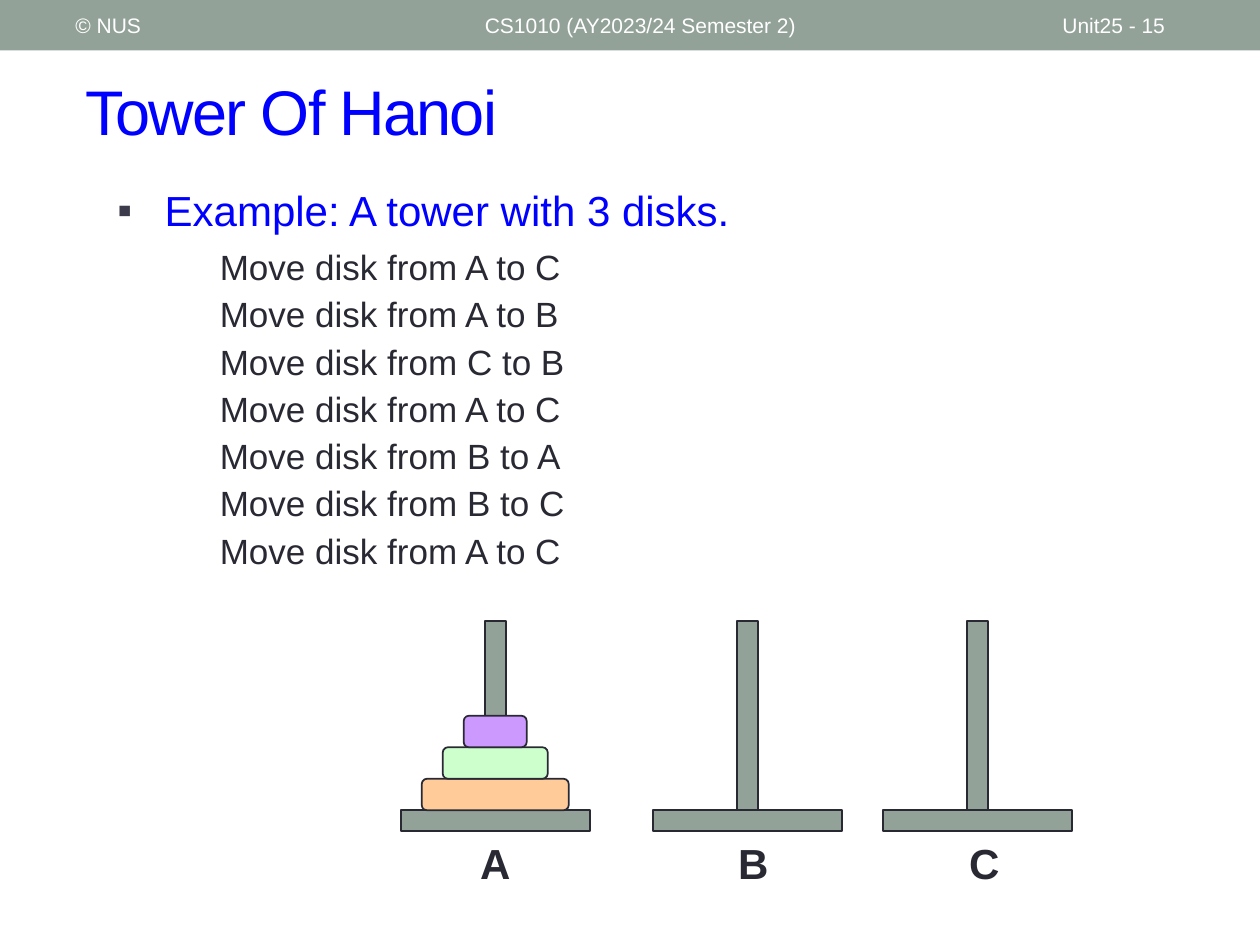
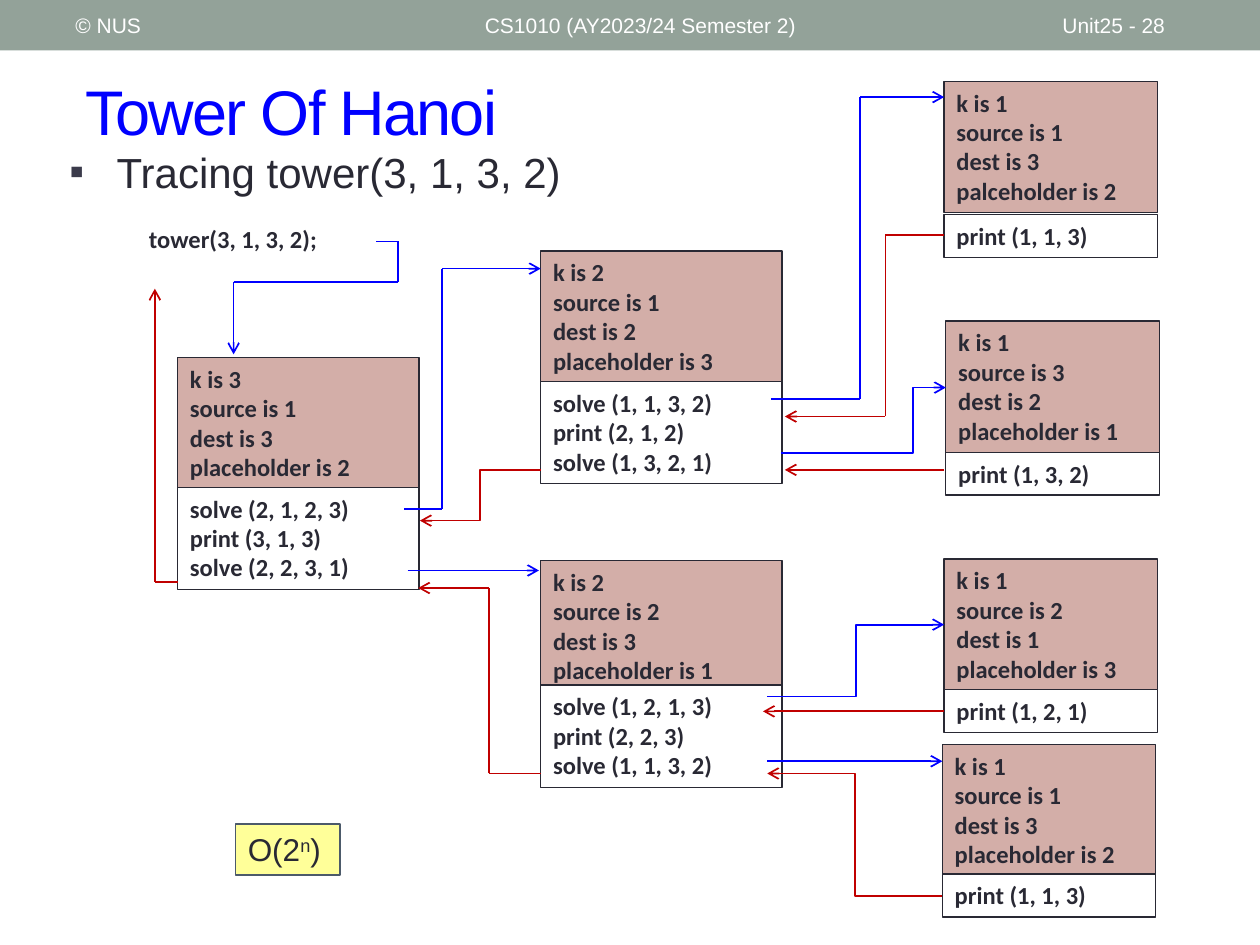
from dataclasses import dataclass

from lxml.etree import SubElement
from pptx import Presentation
from pptx.dml.color import RGBColor
from pptx.enum.shapes import MSO_CONNECTOR, MSO_SHAPE
from pptx.enum.text import MSO_ANCHOR, PP_ALIGN
from pptx.oxml.ns import qn
from pptx.util import Pt


@dataclass(frozen=True)
class Theme:
    sage: str = "93A299"
    ink: str = "292934"
    blue: str = "0000FF"
    red: str = "C00000"
    white: str = "FFFFFF"
    rose: str = "D3AEA8"
    yellow: str = "FFFF99"
    slate: str = "4C5A6A"
    bullet: str = "3B3B4B"
    disks: tuple = ("FFCC99", "CCFFCC", "CC99FF")
    font: str = "Arial"
    code_font: str = "Calibri"
    title_size: float = 36
    body_size: float = 24
    step_size: float = 20
    formula_size: float = 18
    code_size: float = 14
    header_size: float = 12


theme = Theme()


def add_box(slide, rect, lines=(), size=theme.body_size, colour=theme.ink,
            font=theme.font, bold=False, fill=None, line=None, line_width=1,
            kind=MSO_SHAPE.RECTANGLE, anchor=MSO_ANCHOR.TOP, align=PP_ALIGN.LEFT):
    """Add a filled shape, or a plain text box when no fill is given."""
    place = [Pt(value) for value in rect]
    if fill:
        box = slide.shapes.add_shape(kind, *place)
        box.shadow.inherit = False
        box.fill.solid()
        box.fill.fore_color.rgb = RGBColor.from_string(fill)
        if line:
            box.line.color.rgb = RGBColor.from_string(line)
            box.line.width = Pt(line_width)
        else:
            box.line.fill.background()
    else:
        box = slide.shapes.add_textbox(*place)
    frame = box.text_frame
    frame.word_wrap = True
    frame.vertical_anchor = anchor
    if lines:
        frame.text = "\n".join(lines)
    for paragraph in frame.paragraphs:
        paragraph.alignment = align
        for run in paragraph.runs:
            run.font.name = font
            run.font.size = Pt(size)
            run.font.bold = bold
            run.font.color.rgb = RGBColor.from_string(colour)
    return box


deck = Presentation()
deck.slide_width, deck.slide_height = Pt(720), Pt(540)

# Shared header band and title
slides = []
for page in (15, 28):
    slide = deck.slides.add_slide(deck.slide_layouts[6])
    add_box(slide, (0, 0, 720, 28.8), fill=theme.sage)
    for left, width, label in ((36, 228, "© NUS"),
                               (270, 324, "CS1010 (AY2023/24 Semester 2)"),
                               (600, 84, f"Unit25 - {page}")):
        add_box(slide, (left, 1.5, width, 26), [label], theme.header_size,
                theme.white, anchor=MSO_ANCHOR.MIDDLE)
    title = add_box(slide, (42, 30, 660, 66), ["Tower Of Hanoi"], theme.title_size,
                    theme.blue, anchor=MSO_ANCHOR.MIDDLE)
    title.text_frame.paragraphs[0].runs[0].font._element.set("spc", "-100")
    slides.append(slide)
example, tracing = slides

# Example: list of moves
moves = ("AC", "AB", "CB", "AC", "BA", "BC", "AC")
steps = [f"Move disk from {source} to {dest}" for source, dest in moves]
solution = add_box(example, (60, 102, 630, 396),
                   ["Example: A tower with 3 disks.", *steps], align=PP_ALIGN.JUSTIFY)
heading, *step_lines = solution.text_frame.paragraphs
heading.space_after = Pt(3)
heading.runs[0].font.color.rgb = RGBColor.from_string(theme.blue)
for step in step_lines:
    step.space_before = Pt(3)
    step._p.get_or_add_pPr().set("marL", str(Pt(58.5)))
    step.runs[0].font.size = Pt(theme.step_size)

# Tracing: heading, first call and complexity
trace = add_box(tracing, (32.5, 80, 378, 45), ["Tracing tower(3, 1, 3, 2)"])
add_box(tracing, (78, 124.5, 142, 24.5), ["tower(3, 1, 3, 2);"], theme.code_size,
        font=theme.code_font, bold=True)
complexity = add_box(tracing, (134.5, 471, 60, 29), ["O(2"], theme.formula_size,
                     fill=theme.yellow, line=theme.slate)
formula = complexity.text_frame.paragraphs[0]
for part, baseline in (("n", "30000"), (")", "0")):
    run = formula.add_run()
    run.text = part
    run.font.name = theme.font
    run.font.size = Pt(theme.formula_size)
    run.font.color.rgb = RGBColor.from_string(theme.ink)
    run.font._element.set("baseline", baseline)

# Square bullets of both slides
for bulleted in (heading, trace.text_frame.paragraphs[0]):
    properties = bulleted._p.get_or_add_pPr()
    properties.set("marL", str(Pt(27)))
    properties.set("indent", str(Pt(-27)))
    SubElement(SubElement(properties, qn("a:buClr")), qn("a:srgbClr")).set("val", theme.bullet)
    SubElement(properties, qn("a:buFont")).set("typeface", theme.font)
    SubElement(properties, qn("a:buChar")).set("char", "▪")

# Three pegs with their labels
for letter, base_left, label_left in (("A", 229, 265), ("B", 373, 412.5), ("C", 504.75, 544.5)):
    for rect in ((base_left, 463, 108, 12), (base_left + 48, 355, 12, 108)):
        add_box(example, rect, fill=theme.sage, line=theme.ink)
    add_box(example, (label_left, 475, 36, 36), [letter], bold=True, align=PP_ALIGN.CENTER)

# Disks on peg A, largest at the bottom
for level, colour in enumerate(theme.disks):
    width = 84 - 24 * level
    add_box(example, (283 - width / 2, 445 - 18 * level, width, 18),
            fill=colour, line=theme.ink, kind=MSO_SHAPE.ROUNDED_RECTANGLE)

# Call frames: left, state top, calls top, width, state height, state, calls
call_frames = (
    (101.5, 204.5, 278.5, 138, 92, (3, 1, 3, "placeholder is 2"),
     ("solve (2, 1, 2, 3)", "print (3, 1, 3)", "solve (2, 2, 3, 1)")),
    (309, 143.5, 218, 138, 92, (2, 1, 2, "placeholder is 3"),
     ("solve (1, 1, 3, 2)", "print (2, 1, 2)", "solve (1, 3, 2, 1)")),
    (309, 320.5, 391.5, 138, 92, (2, 2, 3, "placeholder is 1"),
     ("solve (1, 2, 1, 3)", "print (2, 2, 3)", "solve (1, 1, 3, 2)")),
    (539.5, 46.5, 122.5, 122, 75, (1, 1, 3, "palceholder is 2"), ("print (1, 1, 3)",)),
    (540.5, 183.5, 258.5, 122, 75, (1, 3, 2, "placeholder is 1"), ("print (1, 3, 2)",)),
    (539.5, 319.5, 394, 122, 75, (1, 2, 1, "placeholder is 3"), ("print (1, 2, 1)",)),
    (538.5, 425.5, 499.5, 122, 75, (1, 1, 3, "placeholder is 2"), ("print (1, 1, 3)",)),
)
for left, state_top, calls_top, width, state_height, state, calls in call_frames:
    k, source, dest, placeholder = state
    variables = [f"k is {k}", f"source is {source}", f"dest is {dest}", placeholder]
    calls_height = 7.5 + 17 * len(calls)
    for top, height, lines, fill in ((state_top, state_height, variables, theme.rose),
                                     (calls_top, calls_height, calls, theme.white)):
        add_box(tracing, (left, top, width, height), lines, theme.code_size,
                font=theme.code_font, bold=True, fill=fill, line=theme.ink, line_width=0.75)

# Calls (blue) and returns (red) drawn as straight runs; the last run has the arrowhead
straight_routes = (
    (theme.blue, (215, 138), (227.5, 138), (227.5, 161), (133.5, 161), (133.5, 202.5)),
    (theme.blue, (231, 291), (252.5, 291), (252.5, 153.5), (309, 153.5)),
    (theme.blue, (233, 326), (308, 326)),
    (theme.blue, (440.5, 228), (491.5, 228), (491.5, 55.5), (539.5, 55.5)),
    (theme.red, (539.5, 134.5), (506, 134.5), (506, 238), (448.5, 238)),
    (theme.red, (539.5, 268.5), (448.5, 268.5)),
    (theme.red, (539.5, 406.5), (436, 406.5)),
    (theme.blue, (438.5, 435), (538.5, 435)),
    (theme.red, (309, 442), (279.5, 442), (279.5, 336), (239, 336)),
    (theme.red, (101.5, 332.5), (88.5, 332.5), (88.5, 165)),
)
# Elbow routes: colour, start, end, share of the width before the bend
elbow_routes = (
    (theme.blue, (446.5, 259), (540.5, 221.5), 0.8),
    (theme.red, (309, 268.5), (240, 297.5), 0.5),
    (theme.blue, (438.5, 398), (539.5, 357), 0.5),
    (theme.red, (538.5, 512), (438.5, 442), 0.5),
)
links = [(colour, start, end, None, end == points[-1])
         for colour, *points in straight_routes
         for start, end in zip(points, points[1:])]
links += [(*route, True) for route in elbow_routes]
for colour, start, end, bend, has_arrow in links:
    kind = MSO_CONNECTOR.ELBOW if bend else MSO_CONNECTOR.STRAIGHT
    link = tracing.shapes.add_connector(kind, *(Pt(value) for value in start + end))
    link.line.color.rgb = RGBColor.from_string(colour)
    link.line.width = Pt(1)
    link_properties = link._element.spPr
    if bend:
        guide = SubElement(link_properties.find(".//" + qn("a:avLst")), qn("a:gd"))
        guide.set("name", "adj1")
        guide.set("fmla", f"val {round(bend * 100000)}")
    if has_arrow:
        SubElement(link_properties.find(qn("a:ln")), qn("a:tailEnd")).set("type", "arrow")
    SubElement(link_properties, qn("a:effectLst"))

deck.save("out.pptx")
